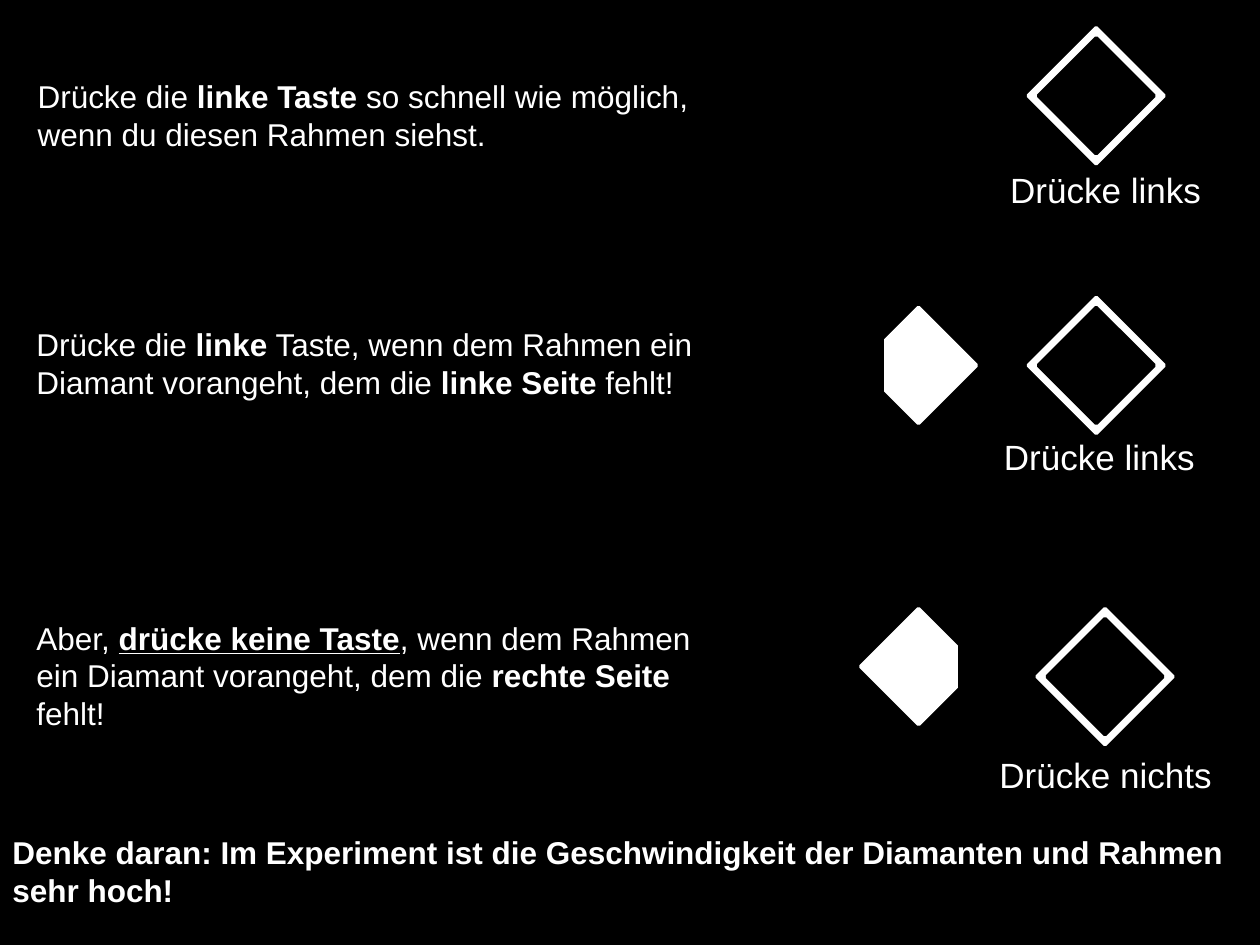
from pptx import Presentation
from pptx.dml.color import RGBColor
from pptx.enum.shapes import MSO_SHAPE
from pptx.enum.text import MSO_AUTO_SIZE, PP_ALIGN
from pptx.util import Inches, Pt

DIAMOND, RECTANGLE = MSO_SHAPE.DIAMOND, MSO_SHAPE.RECTANGLE
LEFT, CENTER = PP_ALIGN.LEFT, PP_ALIGN.CENTER
FIT_SHAPE = MSO_AUTO_SIZE.SHAPE_TO_FIT_TEXT
BLACK, WHITE = "000000", "FFFFFF"
FRAME_SIZE, DIAMOND_SIZE = 1.08, 0.92
COVER_WIDTH, COVER_HEIGHT = 0.21, 0.5
BOLD = {"bold": True}
BOLD_UNDERLINED = {"bold": True, "underline": True}


def color(hex_value):
    return RGBColor.from_string(hex_value)


def add_solid(slide, kind, box, hex_value):
    shape = slide.shapes.add_shape(kind, *map(Inches, box))
    shape.shadow.inherit = False
    shape.fill.solid()
    shape.fill.fore_color.rgb = color(hex_value)
    shape.line.color.rgb = color(hex_value)
    shape.line.width = Pt(2)


def add_text(slide, box, runs, size=18, alignment=LEFT):
    """Write one paragraph from (text, font values) pairs."""
    frame = slide.shapes.add_textbox(*map(Inches, box)).text_frame
    frame.word_wrap = True
    frame.auto_size = FIT_SHAPE
    paragraph = frame.paragraphs[0]
    paragraph.alignment = alignment
    for text, values in runs:
        run = paragraph.add_run()
        run.text = text
        run.font.color.rgb = color(WHITE)
        for name, value in {"name": "Arial", "size": Pt(size), **values}.items():
            setattr(run.font, name, value)


def add_frame(slide, left, top):
    """Draw a hollow diamond as a black one centred on a white one."""
    inset = (FRAME_SIZE - DIAMOND_SIZE) / 2
    add_solid(slide, DIAMOND, (left, top, FRAME_SIZE, FRAME_SIZE), WHITE)
    add_solid(slide, DIAMOND,
              (left + inset, top + inset, DIAMOND_SIZE, DIAMOND_SIZE), BLACK)


def add_cut_diamond(slide, left, top, cover_left):
    """Draw a white diamond with one corner hidden by a black cover."""
    cover_top = top + (DIAMOND_SIZE - COVER_HEIGHT) / 2
    add_solid(slide, DIAMOND, (left, top, DIAMOND_SIZE, DIAMOND_SIZE), WHITE)
    add_solid(slide, RECTANGLE,
              (cover_left, cover_top, COVER_WIDTH, COVER_HEIGHT), BLACK)


def add_rule(slide, text_box, runs, frame_position, label_box, label, cut=None):
    """Place one instruction with its symbols and the answer below them."""
    add_text(slide, text_box, runs)
    if cut:
        add_cut_diamond(slide, *cut)
    add_frame(slide, *frame_position)
    add_text(slide, label_box, [(label, {})], 20, CENTER)


def main():
    presentation = Presentation()
    presentation.slide_width = Inches(10)
    presentation.slide_height = Inches(7.5)
    slide = presentation.slides.add_slide(presentation.slide_layouts[6])
    slide.background.fill.solid()
    slide.background.fill.fore_color.rgb = color(BLACK)

    add_rule(
        slide, (0.2, 0.56, 5.56, 0.71),
        [("Drücke die ", {}), ("linke Taste", BOLD),
         (" so schnell wie möglich, wenn du diesen Rahmen siehst.", {})],
        (8.16, 0.22), (7.69, 1.29, 2.17, 0.44), "Drücke links")
    add_rule(
        slide, (0.19, 2.53, 5.52, 0.71),
        [("Drücke die ", {}), ("linke", BOLD),
         (" Taste, wenn dem Rahmen ein Diamant vorangeht, dem die ", {}),
         ("linke Seite", BOLD), (" fehlt!", {})],
        (8.16, 2.36), (7.6, 3.41, 2.25, 0.44), "Drücke links",
        cut=(6.83, 2.44, 6.79))
    add_rule(
        slide, (0.19, 4.86, 5.56, 1.01),
        [("Aber, ", {}), ("drücke keine Taste", BOLD_UNDERLINED),
         (", wenn dem Rahmen ein Diamant vorangeht, dem die ", {}),
         ("rechte Seite ", BOLD), ("fehlt!", {})],
        (8.23, 4.83), (7.69, 5.93, 2.17, 0.44), "Drücke nichts",
        cut=(6.83, 4.83, 7.62))
    add_text(
        slide, (0, 6.56, 10, 0.71),
        [("Denke daran: Im Experiment ist die Geschwindigkeit der Diamanten "
          "und Rahmen sehr hoch!", BOLD)])

    presentation.save("out.pptx")


if __name__ == "__main__":
    main()
